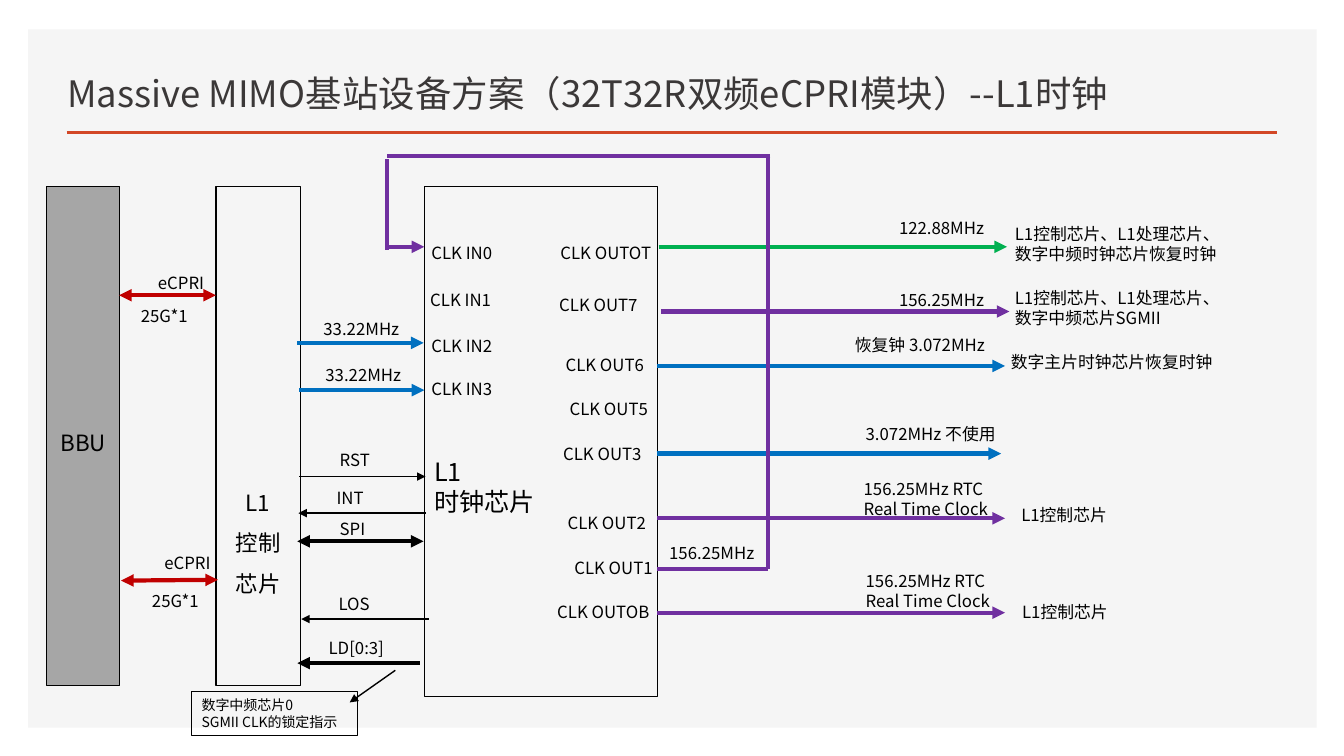
from dataclasses import dataclass

from lxml.etree import SubElement
from pptx import Presentation
from pptx.dml.color import RGBColor
from pptx.enum.shapes import MSO_CONNECTOR, MSO_SHAPE
from pptx.enum.text import MSO_ANCHOR, PP_ALIGN
from pptx.oxml.ns import qn
from pptx.util import Cm, Pt

FONT = "Noto Sans CJK SC"
BLACK, RED, BLUE = "000000", "C00000", "0070C0"
PURPLE, GREEN, ORANGE = "7030A0", "00B050", "D24726"


@dataclass
class Block:
    left: float
    top: float
    width: float
    height: float
    fill: str | None = None
    line: str | None = BLACK
    weight: float = 1


@dataclass
class Label:
    text: str
    left: float
    top: float
    width: float = 2.62
    spacing: float = 1.0


@dataclass
class Wire:
    x1: float
    y1: float
    x2: float
    y2: float
    color: str = BLACK
    weight: float = 3
    ends: tuple[str, ...] = ("tailEnd",)


BOTH, PLAIN = ("headEnd", "tailEnd"), ()

deck = Presentation()
deck.slide_width, deck.slide_height = Cm(33.86), Cm(19.05)
page = deck.slides.add_slide(deck.slide_layouts[6])


def rgb(color: str) -> RGBColor:
    return RGBColor.from_string(color)


def write(box, text: str, *, size: float = 12, color: str = BLACK, spacing: float = 1.0,
          align=PP_ALIGN.LEFT, anchor=MSO_ANCHOR.TOP, inset_top: float = 0.13) -> None:
    frame = box.text_frame
    frame.word_wrap = True
    frame.vertical_anchor = anchor
    frame.margin_top = Cm(inset_top)
    for index, line in enumerate(text.split("\n")):
        para = frame.paragraphs[0] if index == 0 else frame.add_paragraph()
        para.alignment, para.line_spacing = align, spacing
        span = para.add_run()
        span.text = line
        span.font.size, span.font.name = Pt(size), FONT
        span.font.color.rgb = rgb(color)
        SubElement(span.font._element, qn("a:ea"), typeface=FONT)


def add_block(block: Block):
    box = page.shapes.add_shape(MSO_SHAPE.RECTANGLE, Cm(block.left), Cm(block.top),
                                Cm(block.width), Cm(block.height))
    box.shadow.inherit = False
    if block.fill:
        box.fill.solid()
        box.fill.fore_color.rgb = rgb(block.fill)
    else:
        box.fill.background()
    if block.line:
        box.line.color.rgb = rgb(block.line)
        box.line.width = Pt(block.weight)
    else:
        box.line.fill.background()
    return box


def add_label(label: Label) -> None:
    box = page.shapes.add_textbox(Cm(label.left), Cm(label.top), Cm(label.width), Cm(0.78))
    write(box, label.text, spacing=label.spacing)


def add_wire(wire: Wire) -> None:
    line = page.shapes.add_connector(MSO_CONNECTOR.STRAIGHT, Cm(wire.x1), Cm(wire.y1),
                                     Cm(wire.x2), Cm(wire.y2))
    line.line.color.rgb = rgb(wire.color)
    line.line.width = Pt(wire.weight)
    for end in wire.ends:
        SubElement(line.line._get_or_add_ln(), qn(f"a:{end}"), type="triangle")
    SubElement(line._element.spPr, qn("a:effectLst"))


# Background panel and title
add_block(Block(0.71, 0.74, 32.46, 17.6, fill="F5F5F5", line=None))
add_wire(Wire(1.68, 3.33, 32.18, 3.33, ORANGE, 2, PLAIN))
title = page.shapes.add_textbox(Cm(1.45), Cm(1.24), Cm(29.97), Cm(1.78))
write(title, "Massive MIMO基站设备方案（32T32R双频eCPRI模块）--L1时钟",
      size=26, color="3B3838", anchor=MSO_ANCHOR.BOTTOM)

# Main blocks
write(add_block(Block(1.17, 4.7, 1.85, 12.57, fill="A6A6A6")), "BBU", size=16,
      spacing=1.5, align=PP_ALIGN.CENTER, anchor=MSO_ANCHOR.MIDDLE)
write(add_block(Block(5.44, 4.7, 2.13, 12.57)), "L1\n控制芯片", size=16,
      spacing=1.5, align=PP_ALIGN.CENTER, inset_top=7.29)
write(add_block(Block(10.69, 4.7, 5.87, 12.85)), "L1\n时钟芯片", size=18, inset_top=6.8)
write(add_block(Block(4.83, 17.42, 4.19, 1.12, weight=0.75)),
      "数字中频芯片0\nSGMII CLK的锁定指示", size=10)

wires = [
    # BBU to control chip
    Wire(3, 7.44, 5.44, 7.44, RED, ends=BOTH),
    Wire(3.05, 14.63, 5.49, 14.61, RED, ends=BOTH),
    # Control chip to clock chip
    Wire(7.49, 8.64, 10.67, 8.64, BLUE),
    Wire(7.54, 9.83, 10.69, 9.83, BLUE),
    Wire(7.54, 12.01, 10.72, 12.01, weight=1),
    Wire(10.72, 12.93, 7.52, 12.93, weight=1.5),
    Wire(7.49, 13.64, 10.67, 13.64, ends=BOTH),
    Wire(10.8, 15.6, 7.59, 15.6, weight=1),
    Wire(10.57, 16.71, 7.49, 16.71),
    Wire(9.96, 16.89, 8.81, 17.7, weight=1),
    # Clock outputs
    Wire(16.59, 6.22, 25.37, 6.22, GREEN),
    Wire(16.66, 7.85, 25.43, 7.85, PURPLE),
    Wire(16.56, 9.22, 25.32, 9.22, BLUE),
    Wire(16.54, 11.43, 25.22, 11.43, BLUE),
    Wire(16.56, 13.06, 25.32, 13.06, PURPLE),
    Wire(16.56, 15.44, 25.32, 15.44, PURPLE),
    # Feedback loop from CLK OUT1 to CLK IN0
    Wire(16.56, 14.33, 19.35, 14.33, PURPLE, ends=PLAIN),
    Wire(19.35, 14.33, 19.35, 3.94, PURPLE, ends=PLAIN),
    Wire(19.41, 3.94, 9.75, 3.94, PURPLE, ends=PLAIN),
    Wire(9.75, 4.01, 9.75, 6.3, PURPLE, ends=PLAIN),
    Wire(9.75, 6.22, 10.69, 6.22, PURPLE),
]

RTC = "156.25MHz RTC\nReal Time Clock"
CHIPS = "L1控制芯片、L1处理芯片、"
labels = [
    # BBU links
    Label("eCPRI", 3.73, 6.48, 1.96, 1.5),
    Label("25G*1", 3.3, 7.32, 1.96, 1.5),
    Label("eCPRI", 3.89, 13.54, 1.96, 1.5),
    Label("25G*1", 3.58, 14.5, 1.96, 1.5),
    # Control signals
    Label("33.22MHz", 7.9, 7.9),
    Label("33.22MHz", 7.95, 9.07),
    Label("RST", 8.31, 11.2),
    Label("INT", 8.23, 12.17),
    Label("SPI", 8.31, 12.95),
    Label("LOS", 8.28, 14.83),
    Label("LD[0:3]", 8.03, 15.95),
    # Clock chip pins
    Label("CLK IN0", 10.62, 5.99),
    Label("CLK IN1", 10.59, 7.16),
    Label("CLK IN2", 10.62, 8.33),
    Label("CLK IN3", 10.62, 9.42),
    Label("CLK OUTOT", 13.87, 5.99, 3.1),
    Label("CLK OUT7", 13.84, 7.29),
    Label("CLK OUT6", 14, 8.81),
    Label("CLK OUT5", 14.1, 9.91),
    Label("CLK OUT3", 13.94, 11.05),
    Label("CLK OUT2", 14.05, 12.78),
    Label("CLK OUT1", 14.22, 13.92),
    Label("CLK OUTOB", 13.79, 15.04, 3.18),
    # Output frequencies
    Label("122.88MHz", 22.4, 5.36, 3.35),
    Label("156.25MHz", 22.4, 7.16, 3.35),
    Label("恢复钟 3.072MHz", 21.29, 8.31, 4.42),
    Label("3.072MHz 不使用", 21.56, 10.54, 4.24),
    Label(RTC, 21.51, 11.94, 3.8),
    Label("156.25MHz", 16.61, 13.54, 3.35),
    Label(RTC, 21.56, 14.25, 3.8),
    # Destinations
    Label(CHIPS + "数字中频时钟芯片恢复时钟", 25.32, 5.51, 5.84),
    Label(CHIPS + "数字中频芯片SGMII", 25.32, 7.11, 5.84),
    Label("数字主片时钟芯片恢复时钟", 25.22, 8.74, 8.38),
    Label("L1控制芯片", 25.48, 12.6, 4.06),
    Label("L1控制芯片", 25.5, 15.04, 4.06),
]

for wire in wires:
    add_wire(wire)
for label in labels:
    add_label(label)

deck.save("out.pptx")
